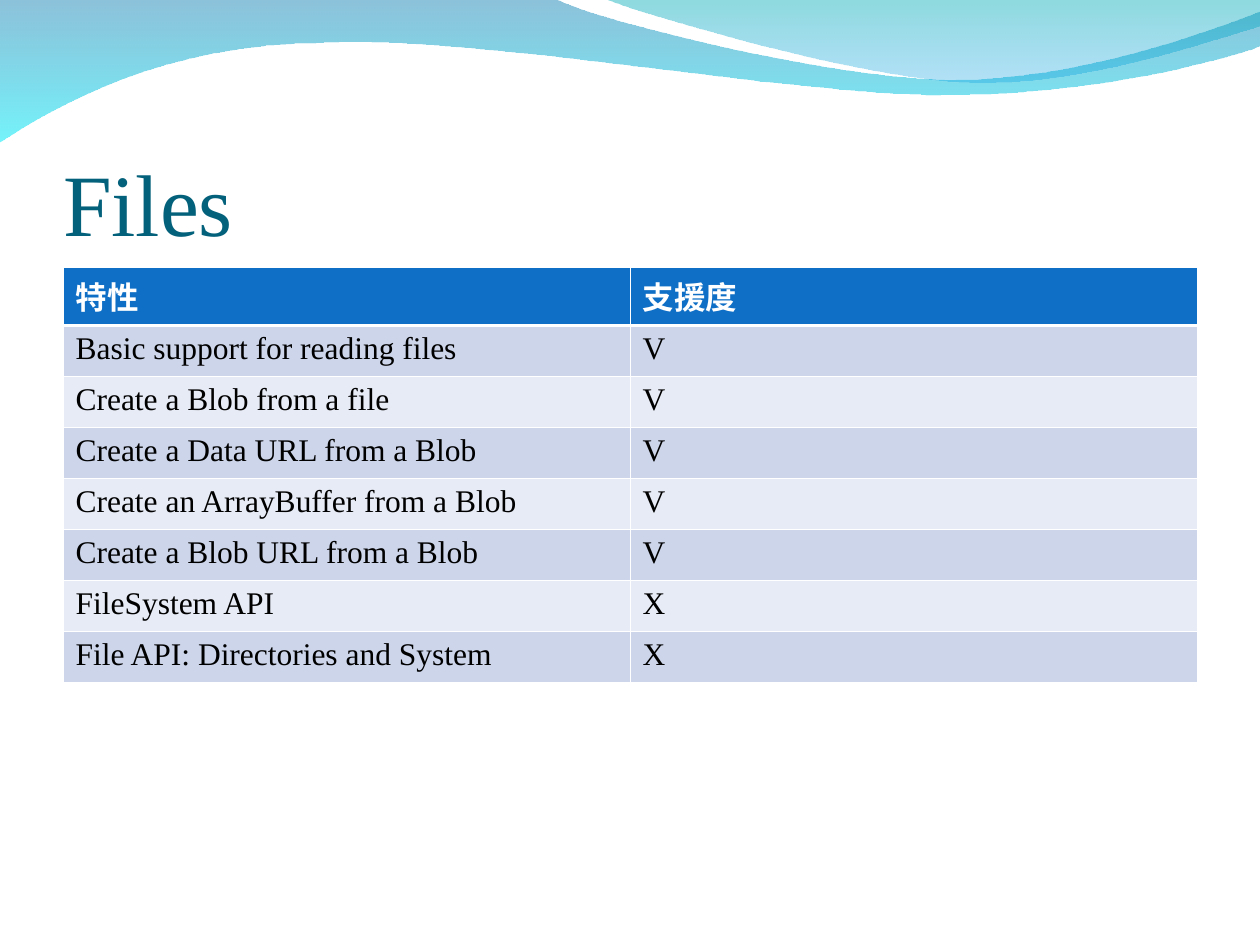
import pptx
import pptx.dml.color
import pptx.enum.text
import pptx.oxml.ns
import pptx.util
from lxml import etree

Inches = pptx.util.Inches
RGB = pptx.dml.color.RGBColor.from_string
qn = pptx.oxml.ns.qn

COLORS = {
    "title": "04617B", "header": "0F6FC6", "odd": "CCD5EA", "even": "E7EBF5",
    "white": "FFFFFF", "black": "000000",
    "deep": "0079AF", "aqua": "00EBF8", "teal": "00ADB6", "sky": "009BE5",
}
SERIF = "Times New Roman"
CJK = "Noto Sans CJK SC"


def write(tf, text, size=18, font=SERIF, color="black", bold=False):
    p = tf.paragraphs[0]
    p.alignment = pptx.enum.text.PP_ALIGN.LEFT
    r = p.add_run()
    r.text = text
    r.font.size = pptx.util.Pt(size)
    r.font.name = font
    r.font.bold = bold
    r.font.color.rgb = RGB(COLORS[color])
    etree.SubElement(r.font._element, qn("a:ea"), typeface=font)


prs = pptx.Presentation()
prs.slide_width = Inches(10)
prs.slide_height = Inches(7.5)
s = prs.slides.add_slide(prs.slide_layouts[5])
s.background.fill.solid()
s.background.fill.fore_color.rgb = RGB(COLORS["white"])

waves = [
    ((0, -0.01),
     [[(4.4, -0.01)],
      [(4.76, 0.17), (6.64, 0.63), (7.58, 0.63)],
      [(8.53, 0.63), (9.58, 0.26), (10, 0.09)],
      [(10.01, 0.36)],
      [(9.83, 0.44), (8.7, 0.76), (7.46, 0.75)],
      [(6.22, 0.75), (3.82, 0.28), (2.57, 0.34)],
      [(1.29, 0.35), (0.46, 0.83), (-0.01, 1.13)],
      [(0, -0.01)]],
     [("deep", 45), ("aqua", 55)]),
    ((4.79, -0.01),
     [[(5.09, 0.11), (6.82, 0.62), (7.69, 0.65)],
      [(8.56, 0.69), (9.61, 0.32), (10, 0.21)],
      [(10, 0)],
      [(4.79, -0.01)]],
     [("teal", 45), ("sky", 30)]),
]
for (x0, y0), segments, stops in waves:
    builder = s.shapes.build_freeform(Inches(x0), Inches(y0))
    builder.add_line_segments(
        [(Inches(x), Inches(y)) for segment in segments for x, y in segment], close=True)
    sp = builder.convert_to_shape()
    lines = iter(list(sp._element.iter(qn("a:lnTo"))))
    for segment in segments:
        group = [next(lines) for _ in segment]
        if len(group) == 3:
            curve = etree.Element(qn("a:cubicBezTo"))
            group[0].addprevious(curve)
            for line in group:
                curve.append(line[0])
                line.getparent().remove(line)
    sp.shadow.inherit = False
    sp.line.fill.background()
    sp.fill.gradient()
    sp.fill.gradient_angle = 270
    for stop, (color, opacity) in zip(sp.fill.gradient_stops, stops):
        stop.color.rgb = RGB(COLORS[color])
    for clr, (color, opacity) in zip(sp._element.spPr.iter(qn("a:srgbClr")), stops):
        etree.SubElement(clr, qn("a:alpha"), val=str(opacity * 1000))

title = s.shapes.title
s.shapes._spTree.append(title._element)
title.left, title.top = Inches(0.5), Inches(0.77)
title.width, title.height = Inches(9), Inches(1.25)
tf = title.text_frame
tf.vertical_anchor = pptx.enum.text.MSO_ANCHOR.BOTTOM
tf.margin_left = tf.margin_right = tf.margin_bottom = 0
tf.margin_top = Inches(0.05)
write(tf, "Files", size=50, color="title")

rows = [
    ("特性", "支援度"),
    ("Basic support for reading files", "V"),
    ("Create a Blob from a file", "V"),
    ("Create a Data URL from a Blob", "V"),
    ("Create an ArrayBuffer from a Blob", "V"),
    ("Create a Blob URL from a Blob", "V"),
    ("FileSystem API", "X"),
    ("File API: Directories and System", "X"),
]
table = s.shapes.add_table(len(rows), 2, Inches(0.5), Inches(2.12),
                           Inches(9), Inches(3.24)).table
for i, row in enumerate(rows):
    for j, text in enumerate(row):
        cell = table.cell(i, j)
        tcPr = cell._tc.get_or_add_tcPr()
        for side in ("lnL", "lnR", "lnT", "lnB"):
            thick = (i, side) in ((0, "lnB"), (1, "lnT"))
            ln = etree.SubElement(tcPr, qn("a:" + side),
                                  w=str(pptx.util.Pt(1.47 if thick else 0.45)))
            solid = etree.SubElement(ln, qn("a:solidFill"))
            etree.SubElement(solid, qn("a:srgbClr"), val=COLORS["white"])
        cell.fill.solid()
        shade = "header" if i == 0 else "odd" if i % 2 else "even"
        cell.fill.fore_color.rgb = RGB(COLORS[shade])
        if i == 0:
            write(cell.text_frame, text, font=CJK, color="white", bold=True)
        else:
            write(cell.text_frame, text)

prs.save("out.pptx")
